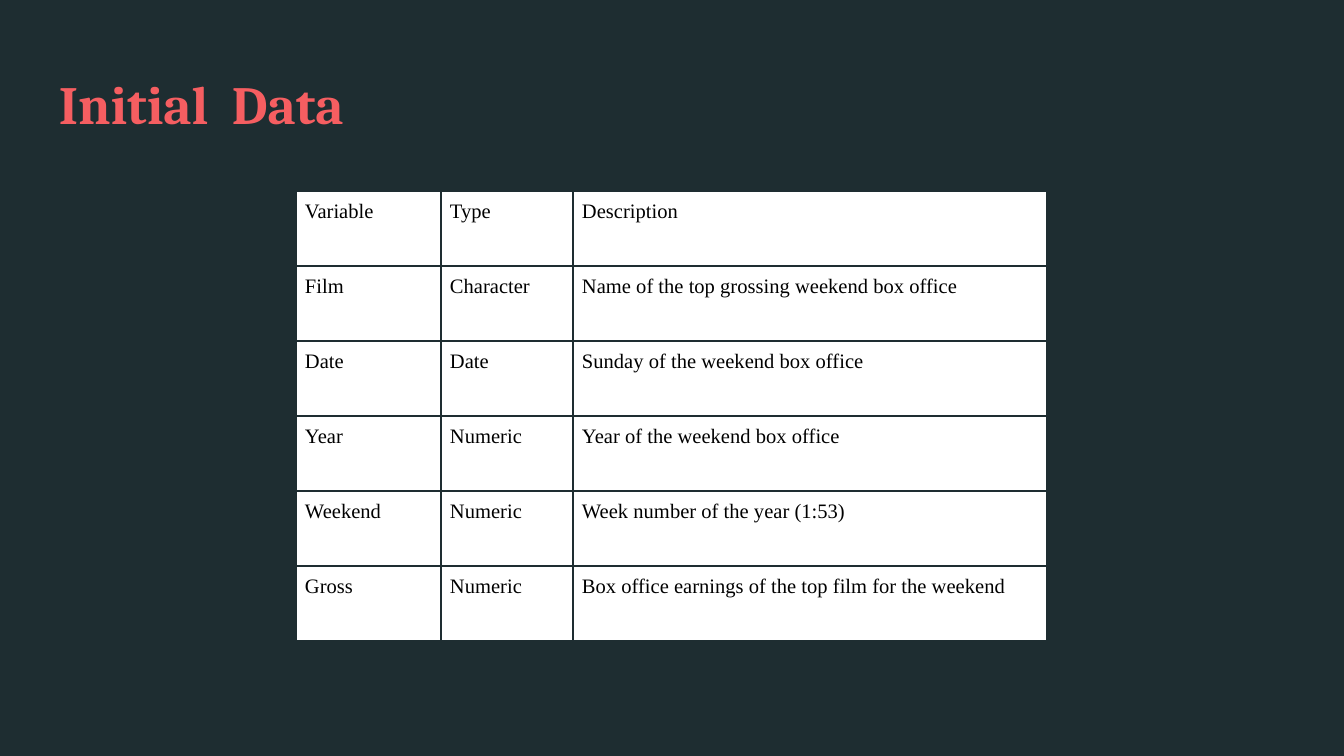
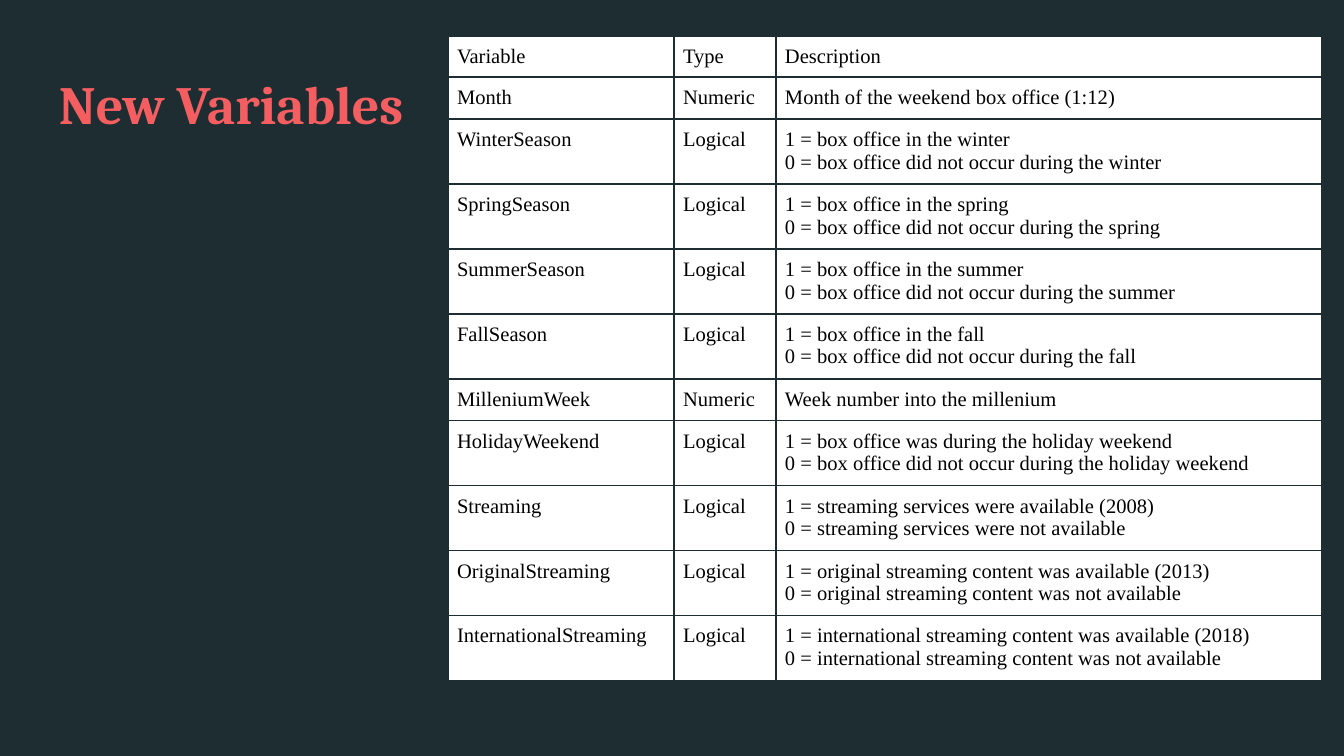
from lxml.etree import SubElement
from pptx import Presentation
from pptx.dml.color import RGBColor
from pptx.enum.text import MSO_ANCHOR, MSO_AUTO_SIZE, PP_ALIGN
from pptx.oxml.ns import qn
from pptx.util import Emu, Pt

EMU_PER_INCH = 914400
PX_PER_INCH = 134.4

DARK = "1E2D31"
CORAL = "F55E61"
WHITE = "FFFFFF"
BLACK = "000000"
TITLE_FONT = "Cambria"
TABLE_FONT = "Times New Roman"

HEADER = ("Variable", "Type", "Description")
INITIAL_ROWS = [
    ("Film", "Character", "Name of the top grossing weekend box office"),
    ("Date", "Date", "Sunday of the weekend box office"),
    ("Year", "Numeric", "Year of the weekend box office"),
    ("Weekend", "Numeric", "Week number of the year (1:53)"),
    ("Gross", "Numeric", "Box office earnings of the top film for the weekend"),
]


def px(length):
    """Turn pixels into EMU."""
    return Emu(round(length * EMU_PER_INCH / PX_PER_INCH))


def color(value):
    """Turn a hex string into a colour."""
    return RGBColor.from_string(value)


def logical_row(name, one, zero):
    """Describe a logical variable by the meaning of its two values."""
    return name, "Logical", f"1 = {one}\n0 = {zero}"


def season_row(season):
    """Describe the logical variable of a season."""
    return logical_row(
        f"{season.capitalize()}Season",
        f"box office in the {season}",
        f"box office did not occur during the {season}",
    )


def streaming_row(name, subject, verb, year):
    """Describe a logical variable about streaming."""
    return logical_row(
        name,
        f"{subject} {verb} available ({year})",
        f"{subject} {verb} not available",
    )


NEW_ROWS = [
    ("Month", "Numeric", "Month of the weekend box office (1:12)"),
    *[season_row(season) for season in ("winter", "spring", "summer", "fall")],
    ("MilleniumWeek", "Numeric", "Week number into the millenium"),
    logical_row(
        "HolidayWeekend",
        "box office was during the holiday weekend",
        "box office did not occur during the holiday weekend",
    ),
    streaming_row("Streaming", "streaming services", "were", 2008),
    streaming_row("OriginalStreaming", "original streaming content", "was", 2013),
    streaming_row("InternationalStreaming", "international streaming content", "was", 2018),
]


def style_font(paragraph, name, size, shade, bold=False):
    """Set the font of a paragraph."""
    font = paragraph.font
    font.name = name
    font.size = Pt(size)
    font.bold = bold
    font.color.rgb = color(shade)


def add_titled_slide(deck, title):
    """Add a title-only slide and format its title."""
    page = deck.slides.add_slide(deck.slide_layouts[5])
    box = page.shapes.title
    box.left, box.top, box.width, box.height = px(46), px(58), px(1253), px(91)
    frame = box.text_frame
    frame.text = title
    frame.word_wrap = True
    frame.auto_size = MSO_AUTO_SIZE.NONE
    frame.vertical_anchor = MSO_ANCHOR.TOP
    frame.margin_left = frame.margin_right = px(13)
    frame.margin_top = frame.margin_bottom = px(13)
    para = frame.paragraphs[0]
    para.alignment = PP_ALIGN.LEFT
    style_font(para, TITLE_FONT, 28.8, CORAL, bold=True)
    return page


def add_borders(cell):
    """Draw a thin dark line on each side of a cell."""
    properties = cell._tc.get_or_add_tcPr()
    for side in ("a:lnL", "a:lnR", "a:lnT", "a:lnB"):
        line = SubElement(properties, qn(side), w=str(Pt(1)))
        fill = SubElement(line, qn("a:solidFill"))
        SubElement(fill, qn("a:srgbClr"), val=DARK)


def fill_cell(cell, text):
    """Write and format one table cell."""
    add_borders(cell)
    cell.fill.solid()
    cell.fill.fore_color.rgb = color(WHITE)
    cell.margin_left = cell.margin_right = px(9)
    cell.margin_top = cell.margin_bottom = px(9)
    cell.vertical_anchor = MSO_ANCHOR.TOP
    cell.text = text
    for para in cell.text_frame.paragraphs:
        style_font(para, TABLE_FONT, 11, BLACK)


def add_variable_table(page, left, top, widths, heights, rows):
    """Add a table of variables under the shared header."""
    records = [HEADER, *rows]
    frame = page.shapes.add_table(
        len(records), len(HEADER), px(left), px(top), px(sum(widths)), px(sum(heights))
    )
    table = frame.table
    table.first_row = False
    table.horz_banding = False
    for column, width in zip(table.columns, widths):
        column.width = px(width)
    for row, height, record in zip(table.rows, heights, records):
        row.height = px(height)
        for cell, text in zip(row.cells, record):
            fill_cell(cell, text)


def main():
    """Build the deck."""
    deck = Presentation()
    deck.slide_width, deck.slide_height = px(1344), px(756)
    background = deck.slide_master.background.fill
    background.solid()
    background.fore_color.rgb = color(DARK)

    page = add_titled_slide(deck, "Initial  Data")
    initial_heights = [75] * (len(INITIAL_ROWS) + 1)
    add_variable_table(page, 296, 191, (145, 132, 474), initial_heights, INITIAL_ROWS)

    page = add_titled_slide(deck, "New Variables")
    new_heights = [20] + [19 + 23 * len(row[2].splitlines()) for row in NEW_ROWS]
    add_variable_table(page, 448, 36, (226, 102, 546), new_heights, NEW_ROWS)

    deck.save("out.pptx")


if __name__ == "__main__":
    main()
